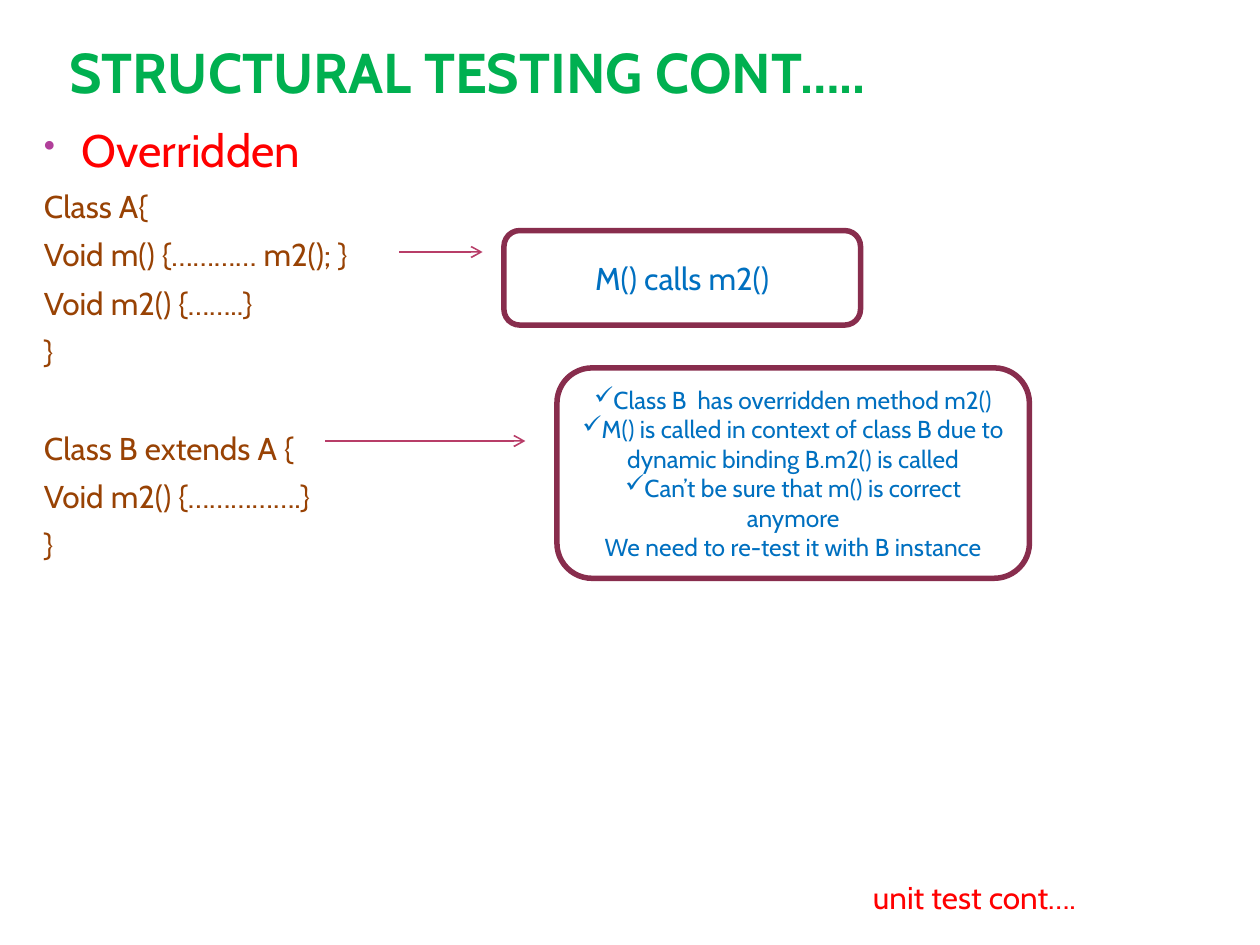
from lxml import etree
from pptx import Presentation
from pptx.dml.color import RGBColor
from pptx.enum.shapes import MSO_CONNECTOR as Connector, MSO_SHAPE as Shape
from pptx.enum.text import MSO_ANCHOR as Anchor, PP_ALIGN as Align
from pptx.oxml.ns import qn
from pptx.util import Inches, Pt


def color(value):
    return RGBColor.from_string(value)


def write(frame, text, size=18, fill="984204", bold=False, align=Align.LEFT,
          before=0, hanging=0, bullet=None, bullet_color=None, bullet_size=None):
    paragraph = frame.paragraphs[0]
    if paragraph.runs:
        paragraph = frame.add_paragraph()
    properties = paragraph._p.get_or_add_pPr()
    properties.set("marL", str(Inches(hanging)))
    properties.set("indent", str(-Inches(hanging)))
    if bullet_color:
        holder = etree.SubElement(properties, qn("a:buClr"))
        etree.SubElement(holder, qn("a:srgbClr"), val=bullet_color)
    if bullet_size:
        etree.SubElement(properties, qn("a:buSzPct"), val=str(bullet_size * 1000))
    if bullet:
        etree.SubElement(properties, qn("a:buChar"), char=bullet)
    else:
        etree.SubElement(properties, qn("a:buNone"))
    paragraph.alignment = align
    paragraph.space_before = Pt(before)
    run = paragraph.add_run()
    run.text = text
    run.font.name = "Cabin"
    run.font.size = Pt(size)
    run.font.bold = bold
    run.font.color.rgb = color(fill)


presentation = Presentation()
presentation.slide_width, presentation.slide_height = Inches(10), Inches(7.5)
slide = presentation.slides.add_slide(presentation.slide_layouts[5])

title = slide.shapes.title
title.left, title.top = Inches(0.5), Inches(-0.42)
title.width, title.height = Inches(7.92), Inches(1.25)
frame = title.text_frame
frame.vertical_anchor = Anchor.BOTTOM
frame.margin_left = frame.margin_right = Inches(0.05)
frame.margin_top = frame.margin_bottom = 0
write(frame, "STRUCTURAL TESTING CONT…..", size=32, fill="00B050", bold=True)

body = slide.shapes.add_textbox(Inches(0.25), Inches(0.92), Inches(8.58), Inches(6.14))
frame = body.text_frame
frame.word_wrap = True
write(frame, "Overridden", size=26, fill="FF0000", hanging=0.3,
      bullet="•", bullet_color="B13F9A", bullet_size=73)
class_a = ["Class A{", "Void m() {………… m2(); }", "Void m2() {……..}", "}"]
class_b = ["Class B extends A {", "Void m2() {…………….}", "}"]
for lines, first_gap in [(class_a, 6), (class_b, 33.5)]:
    for index, line in enumerate(lines):
        write(frame, line, before=6 if index else first_gap, hanging=0.3)

for start, end, y in [(3.17, 3.83, 2), (2.58, 4.17, 3.5)]:
    arrow = slide.shapes.add_connector(
        Connector.STRAIGHT, Inches(start), Inches(y), Inches(end), Inches(y))
    arrow.line.color.rgb = color("B83D68")
    arrow.line.width = Pt(0.9)
    etree.SubElement(arrow.line._get_or_add_ln(), qn("a:tailEnd"), type="arrow")
    etree.SubElement(arrow._element.spPr, qn("a:effectLst"))

override_notes = [
    ("Class B  has overridden method m2()", "✓"),
    ("M() is called in context of class B due to dynamic binding B.m2() is called", "✓"),
    ("Can’t be sure that m() is correct anymore", "✓"),
    ("We need to re-test it with B instance", None),
]
callouts = [
    (4.42, 2.92, 3.75, 1.67, 14, override_notes),
    (4, 1.83, 2.83, 0.75, 18, [("M() calls m2()", None)]),
]
for left, top, width, height, size, notes in callouts:
    callout = slide.shapes.add_shape(
        Shape.ROUNDED_RECTANGLE, Inches(left), Inches(top), Inches(width), Inches(height))
    callout.shadow.inherit = False
    callout.fill.solid()
    callout.fill.fore_color.rgb = color("FFFFFF")
    callout.line.color.rgb = color("882D4D")
    callout.line.width = Pt(3.15)
    frame = callout.text_frame
    frame.word_wrap = True
    frame.vertical_anchor = Anchor.MIDDLE
    for text, bullet in notes:
        write(frame, text, size=size, fill="0070C0", align=Align.CENTER, bullet=bullet)

footer = slide.shapes.add_textbox(Inches(6.83), Inches(6.92), Inches(2.02), Inches(0.4))
footer.text_frame.word_wrap = False
write(footer.text_frame, "unit test cont….", fill="FF0000")

presentation.save("out.pptx")
